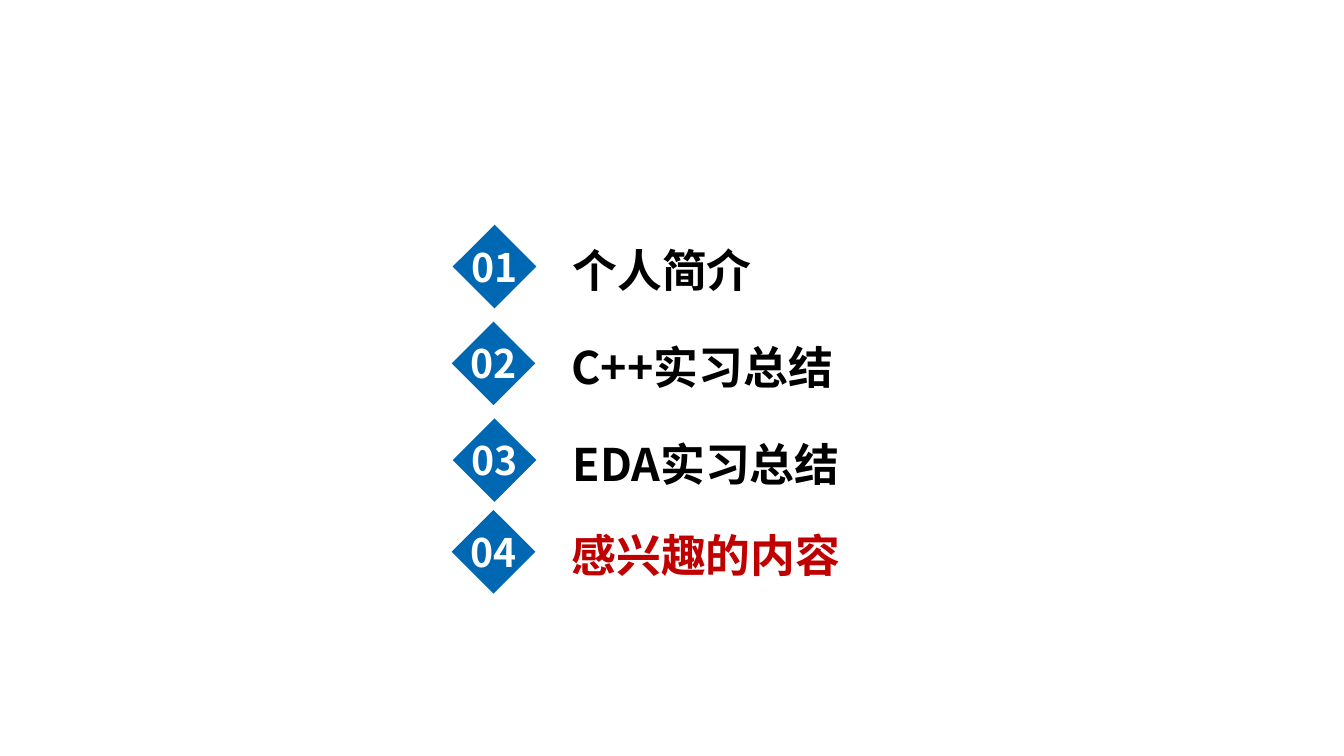
from pptx import Presentation
from pptx.dml.color import RGBColor
from pptx.enum.shapes import MSO_SHAPE
from pptx.enum.text import MSO_AUTO_SIZE, PP_ALIGN
from pptx.oxml.ns import qn
from pptx.util import Inches, Pt
from lxml import etree

DIAMOND = MSO_SHAPE.DIAMOND
GROW = MSO_AUTO_SIZE.SHAPE_TO_FIT_TEXT
LEFT, CENTER = PP_ALIGN.LEFT, PP_ALIGN.CENTER

# Content: title, colour, left and top of the diamond
FONT = "Noto Sans CJK SC"
BLUE, WHITE, BLACK, RED = "0067B3", "FFFFFF", "000000", "C00000"
AGENDA = [
    ("个人简介", BLACK, 4.49, 2.23),
    ("C++实习总结", BLACK, 4.48, 3.19),
    ("EDA实习总结", BLACK, 4.49, 4.15),
    ("感兴趣的内容", RED, 4.48, 5.06),
]
SIDE = 0.83
TITLE_DX, NUMBER_DX, TEXT_DY = 1.09, -0.01, 0.13


def color(value):
    return RGBColor.from_string(value)


def add_text(s, text, x, y, w, h, size, fill, align):
    tf = s.shapes.add_textbox(Inches(x), Inches(y), Inches(w), Inches(h)).text_frame
    tf.word_wrap = True
    tf.auto_size = GROW
    p = tf.paragraphs[0]
    p.text = text
    p.alignment = align
    p.font.name = FONT
    p.font.size = Pt(size)
    p.font.bold = True
    p.font.color.rgb = color(fill)
    # East Asian typeface follows the Latin one
    latin = p.font._element.find(qn("a:latin"))
    ea = etree.Element(qn("a:ea"), typeface=FONT)
    latin.addnext(ea)


prs = Presentation()
prs.slide_width, prs.slide_height = Inches(13.33), Inches(7.5)
s = prs.slides.add_slide(prs.slide_layouts[6])

# Agenda rows: diamond, number, title
for number, (title, fill, x, y) in enumerate(AGENDA, 1):
    sp = s.shapes.add_shape(DIAMOND, Inches(x), Inches(y), Inches(SIDE), Inches(SIDE))
    sp.shadow.inherit = False
    sp.fill.solid()
    sp.fill.fore_color.rgb = color(BLUE)
    sp.line.fill.background()
    add_text(s, f"{number:02}", x + NUMBER_DX, y + TEXT_DY, 0.85, 0.57, 28, WHITE, CENTER)
    add_text(s, title, x + TITLE_DX, y + TEXT_DY, 3.77, 0.64, 32, fill, LEFT)

prs.save("out.pptx")
